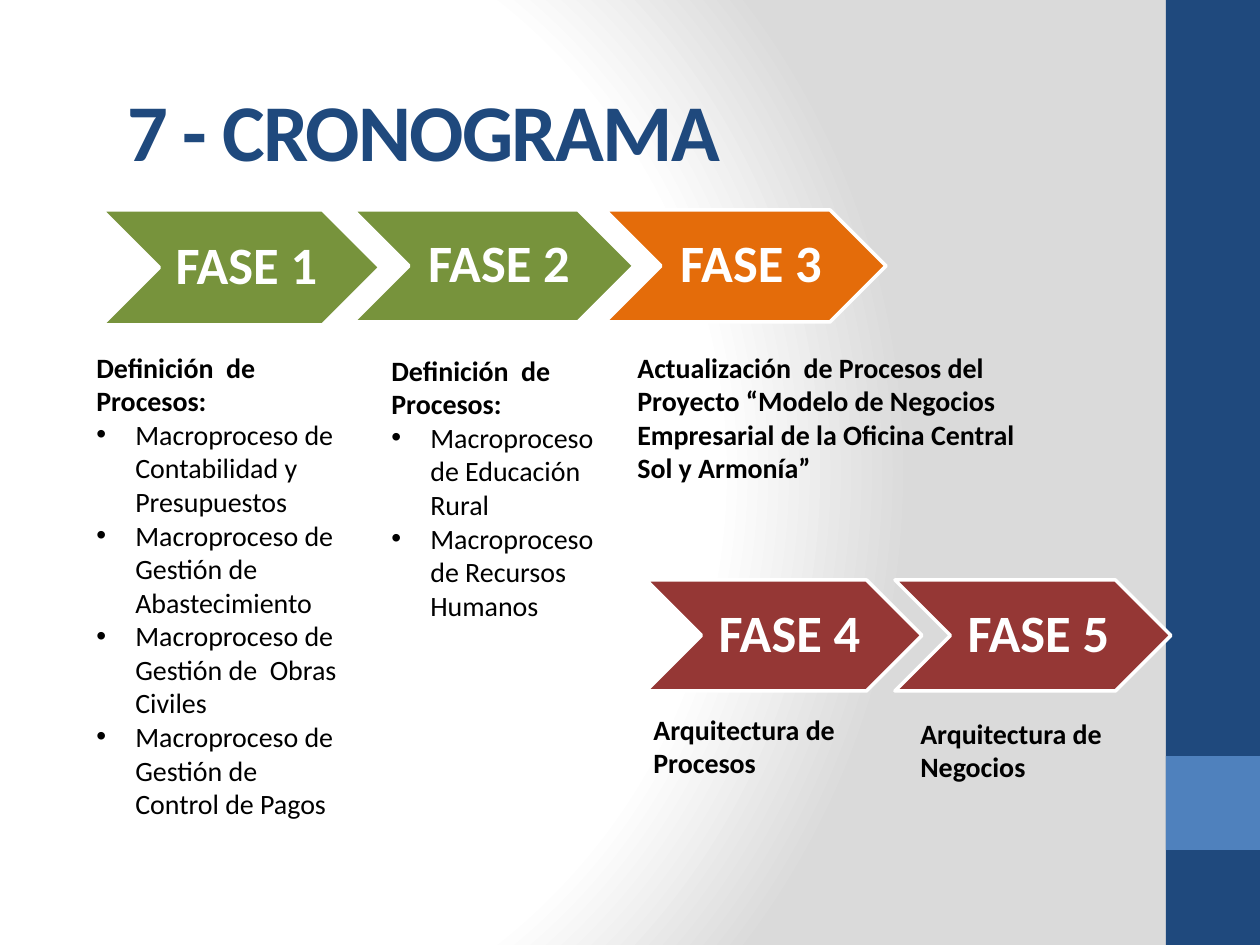
from pptx import Presentation
from pptx.dml.color import RGBColor
from pptx.enum.shapes import MSO_SHAPE
from pptx.enum.text import MSO_ANCHOR, PP_ALIGN
from pptx.oxml import parse_xml
from pptx.oxml.ns import nsdecls, qn
from pptx.util import Inches, Pt

PX = Inches(1) / 126
COLORS = {
    "navy": "1F497D", "blue": "4F81BD", "green": "77933C", "orange": "E46C0A",
    "red": "953735", "white": "FFFFFF", "gray": "DADADA", "black": "000000",
}
INDENT = 39


def add_shape(kind, left, top, width, height, color, outline=None):
    shape = page.shapes.add_shape(
        kind, *(round(n * PX) for n in (left, top, width, height)))
    shape.shadow.inherit = False
    shape.fill.solid()
    shape.fill.fore_color.rgb = RGBColor.from_string(COLORS[color])
    if outline:
        shape.line.color.rgb = RGBColor.from_string(COLORS[outline])
        shape.line.width = Pt(2)
    else:
        shape.line.fill.background()
    return shape


def write(box, text, size=16, color="black", bold=True, bullet=False, first=True,
          align=PP_ALIGN.LEFT, anchor=MSO_ANCHOR.TOP, wrap=True, spacing=None):
    frame = box.text_frame
    frame.word_wrap = wrap
    frame.vertical_anchor = anchor
    para = frame.paragraphs[0] if first else frame.add_paragraph()
    para.alignment = align
    if bullet:
        props = para._p.get_or_add_pPr()
        props.set("marL", str(round(INDENT * PX)))
        props.set("indent", str(round(-INDENT * PX)))
        props.append(parse_xml(f'<a:buFont {nsdecls("a")} typeface="Arial"/>'))
        props.append(parse_xml(f'<a:buChar {nsdecls("a")} char="•"/>'))
    span = para.add_run()
    span.text = text
    span.font.name = "Calibri"
    span.font.size = Pt(size)
    span.font.bold = bold
    span.font.color.rgb = RGBColor.from_string(COLORS[color])
    if spacing:
        span.font._element.set("spc", str(spacing))


deck = Presentation()
deck.slide_width, deck.slide_height = round(1260 * PX), round(945 * PX)
page = deck.slides.add_slide(deck.slide_layouts[6])

# Background: radial fade from white to gray
page.background.fill.solid()
background = page.element.find(".//" + qn("p:bgPr"))
stops = "".join(
    f'<a:gs pos="{place * 1000}"><a:srgbClr val="{COLORS[color]}"/></a:gs>'
    for place, color in ((0, "white"), (75, "white"), (100, "gray")))
background.replace(background[0], parse_xml(
    f'<a:gradFill {nsdecls("a")} rotWithShape="1"><a:gsLst>{stops}</a:gsLst>'
    '<a:path path="circle"><a:fillToRect l="20000" t="50000" r="100000" b="50000"/>'
    '</a:path></a:gradFill>'))

# Side band
add_shape(MSO_SHAPE.RECTANGLE, 1166, 0, 94, 945, "navy")
add_shape(MSO_SHAPE.RECTANGLE, 1166, 756, 94, 94, "blue")

# Title
title = page.shapes.add_textbox(*(round(n * PX) for n in (115, 66, 840, 126)))
write(title, "7 - CRONOGRAMA", size=46, color="navy",
      anchor=MSO_ANCHOR.MIDDLE, spacing=-100)

# Phase chevrons
phases = [
    (102, 210, 278, 115, "green"),
    (353, 210, 281, 112, "green"),
    (605, 210, 281, 112, "orange"),
    (646, 580, 276, 111, "red"),
    (895, 580, 276, 111, "red"),
]
for number, (left, top, width, height, color) in enumerate(phases, 1):
    chevron = add_shape(MSO_SHAPE.CHEVRON, left, top, width, height, color, "white")
    frame = chevron.text_frame
    frame.margin_left = round(16 * PX)
    frame.margin_right = frame.margin_top = frame.margin_bottom = round(5 * PX)
    write(chevron, f"FASE {number}", size=30, color="white", wrap=False,
          align=PP_ALIGN.CENTER, anchor=MSO_ANCHOR.MIDDLE)
    frame.paragraphs[0].line_spacing = 0.9

# Phase descriptions: position, heading, bullets
descriptions = [
    ((84, 344, 266, 564), "Definición  de Procesos:", [
        "Macroproceso de Contabilidad y Presupuestos",
        "Macroproceso de Gestión de Abastecimiento",
        "Macroproceso de Gestión de  Obras Civiles",
        "Macroproceso de Gestión de Control de Pagos"]),
    ((379, 347, 246, 360), "Definición  de Procesos:", [
        "Macroproceso de Educación Rural",
        "Macroproceso de Recursos Humanos"]),
    ((625, 344, 408, 186), "Actualización  de Procesos del Proyecto “Modelo de Negocios "
     "Empresarial de la Oficina Central Sol y Armonía”", []),
    ((641, 706, 294, 81), "Arquitectura de Procesos", []),
    ((908, 710, 265, 118), "Arquitectura de Negocios", []),
]
for place, heading, items in descriptions:
    box = page.shapes.add_textbox(*(round(n * PX) for n in place))
    write(box, heading)
    for item in items:
        write(box, item, bold=False, bullet=True, first=False)

deck.save("out.pptx")
